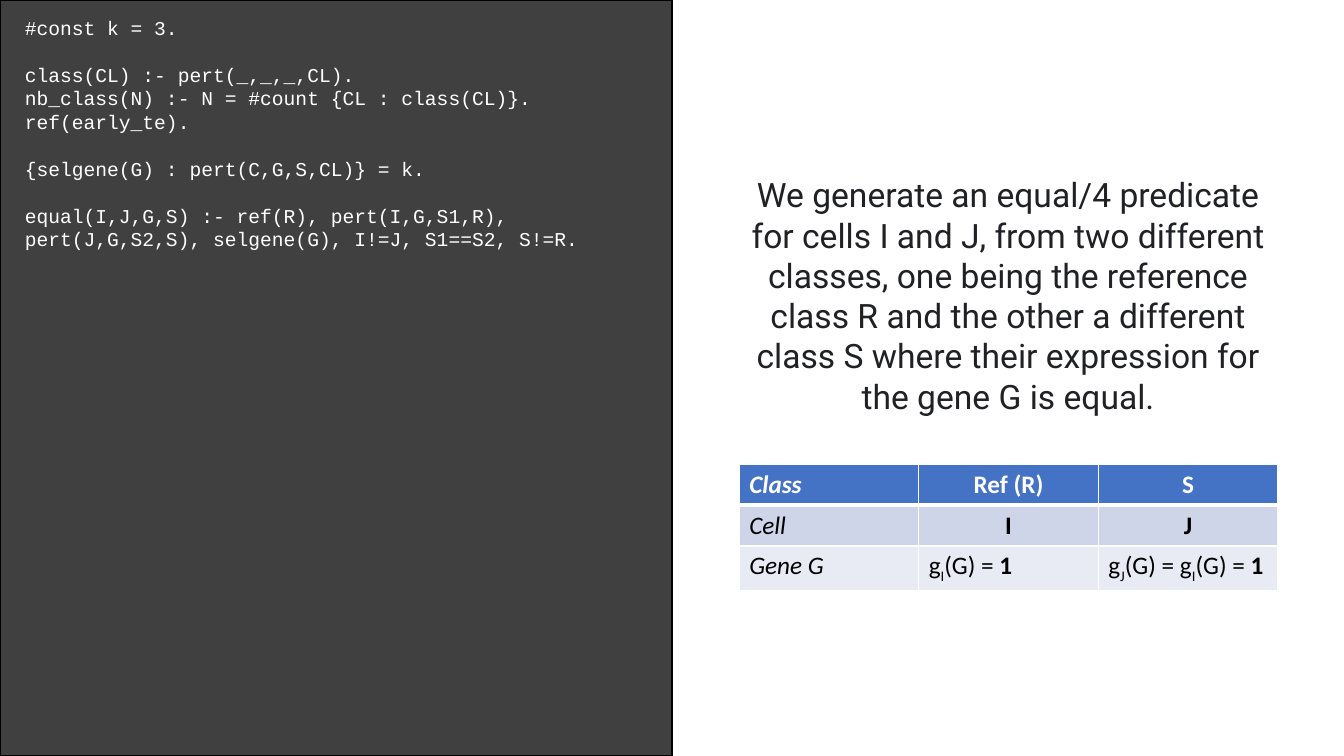
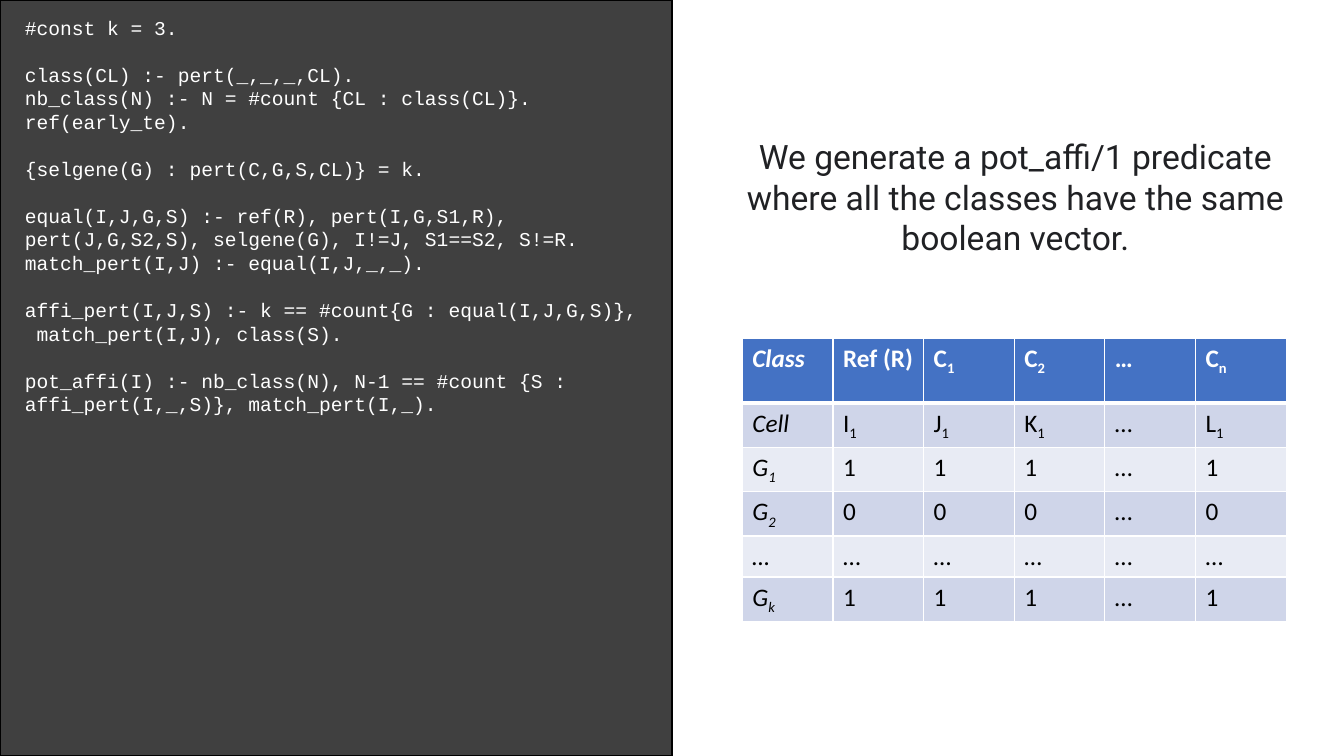
import pptx
import pptx.util
import pptx.dml.color
import pptx.enum.shapes
import pptx.enum.text
import pptx.oxml
import pptx.oxml.ns
from lxml import etree

PX = 9525
WIDE, HIGH = 1280, 720
HUES = {
    "panel": "404040", "edge": "000000", "code": "FFFFFF", "prose": "202124",
    "head": "4472C4", "odd": "CFD5E9", "even": "E8EBF4",
    "rule": "FFFFFF", "light": "FFFFFF", "dark": "000000",
}
ALIGN = pptx.enum.text.PP_ALIGN

BASE = [
    ["#const k = 3."],
    ["class(CL) :- pert(_,_,_,CL).",
     "nb_class(N) :- N = #count {CL : class(CL)}.",
     "ref(early_te)."],
    ["{selgene(G) : pert(C,G,S,CL)} = k."],
]
EQUAL = "equal(I,J,G,S) :- ref(R), pert(I,G,S1,R), pert(J,G,S2,S), selgene(G), I!=J, S1==S2, S!=R."
MATCH = "match_pert(I,J) :- equal(I,J,_,_)."
AFFI = "affi_pert(I,J,S) :- k == #count{G : equal(I,J,G,S)},\v match_pert(I,J), class(S)."
POT = "pot_affi(I) :- nb_class(N), N-1 == #count {S : affi_pert(I,_,S)}, match_pert(I,_)."


def hue(name):
    return pptx.dml.color.RGBColor.from_string(HUES[name])


def place(shape, box):
    shape.left, shape.top, shape.width, shape.height = [PX * n for n in box]


def style(run, face, size, tint):
    run.font.name = face
    run.font.size = pptx.util.Pt(size)
    run.font.color.rgb = hue(tint)


def frame(shape, box):
    place(shape, box)
    text = shape.text_frame
    text.word_wrap = True
    text.auto_size = pptx.enum.text.MSO_AUTO_SIZE.NONE
    text.vertical_anchor = pptx.enum.text.MSO_ANCHOR.TOP
    return text


def add_code(slide, box, blocks):
    left, top, wide, high = box
    panel = slide.shapes.add_shape(
        pptx.enum.shapes.MSO_SHAPE.RECTANGLE, *[PX * n for n in box])
    panel.shadow.inherit = False
    panel.fill.solid()
    panel.fill.fore_color.rgb = hue("panel")
    panel.line.color.rgb = hue("edge")
    panel.line.width = pptx.util.Pt(1)
    panel.element.getparent().insert(2, panel.element)

    text = frame(slide.placeholders[1], (left + 14, top + 10, wide - 27, high - 20))
    text.text = "\n".join(line for block in blocks for line in block)
    starts = [i == 0 and block is not blocks[0]
              for block in blocks for i in range(len(block))]
    step = pptx.util.Pt(16.8)
    for para, gap in zip(text.paragraphs, starts):
        props = para._p.get_or_add_pPr()
        props.set("marL", "0")
        props.set("indent", "0")
        etree.SubElement(props, pptx.oxml.ns.qn("a:buNone"))
        para.line_spacing = step
        para.space_before = step if gap else 0
        for run in para.runs:
            style(run, "Courier New", 14, "code")


def add_prose(slide, box, words):
    text = frame(slide.shapes.title, box)
    text.text = words
    para = text.paragraphs[0]
    para.alignment = ALIGN.CENTER
    para.line_spacing = pptx.util.Pt(28.8)
    style(para.runs[0], "Roboto", 24, "prose")


def add_rules(cell, row):
    props = cell._tc.get_or_add_tcPr()
    thick = {(0, "B"), (1, "T")}
    for side in "LRTB":
        size = 3 if (row, side) in thick else 0.96
        props.append(pptx.oxml.parse_xml(
            f'<a:ln{side} {pptx.oxml.ns.nsdecls("a")} w="{pptx.util.Pt(size)}">'
            f'<a:solidFill><a:srgbClr val="{HUES["rule"]}"/></a:solidFill></a:ln{side}>'))


def split(mark):
    parts = [["", ""]]
    chars = iter(mark)
    for char in chars:
        if char in "_*":
            parts += [[char, next(chars)], ["", ""]]
        else:
            parts[-1][1] += char
    return [part for part in parts if part[1]]


def fill_cell(cell, mark, row, col):
    add_rules(cell, row)
    cell.fill.solid()
    cell.fill.fore_color.rgb = hue("head" if row == 0 else "odd" if row % 2 else "even")
    para = cell.text_frame.paragraphs[0]
    for kind, words in split(mark):
        run = para.add_run()
        run.text = words
        style(run, "Calibri", 18, "dark" if row else "light")
        run.font.bold = row == 0 or kind == "*"
        run.font.italic = col == 0
        if kind == "_":
            run.font._element.set("baseline", "-25000")


def add_grid(slide, spot, wide, highs, rows, mid=0):
    left, top = spot
    cols = len(rows[0])
    grid = slide.shapes.add_table(
        len(rows), cols, PX * left, PX * top, PX * wide, PX * sum(highs)).table
    for col in grid.columns:
        col.width = PX * wide // cols
    for r, (high, marks) in enumerate(zip(highs, rows)):
        grid.rows[r].height = PX * high
        for c, mark in enumerate(marks):
            cell = grid.cell(r, c)
            fill_cell(cell, mark, r, c)
            if r < mid and c:
                cell.text_frame.paragraphs[0].alignment = ALIGN.CENTER


def add_page(deck, blocks, box, words, *grid):
    slide = deck.slides.add_slide(deck.slide_layouts[1])
    add_code(slide, (0, 0, WIDE // 2, HIGH), blocks)
    add_prose(slide, box, words)
    add_grid(slide, *grid)


def main():
    deck = pptx.Presentation()
    deck.slide_width, deck.slide_height = PX * WIDE, PX * HIGH
    add_page(
        deck, BASE + [[EQUAL]], (694, 161, 532, 240),
        "We generate an equal/4 predicate for cells I and J, from two different "
        "classes, one being the reference class R and the other a different class S "
        "where their expression for the gene G is equal.",
        (704, 442), 513, [39, 39, 42],
        [["Class", "Ref (R)", "S"],
         ["Cell", "*I", "*J"],
         ["Gene G", "g_I(G) = *1", "g_J(G) = g_I(G) = *1"]], 2)
    add_page(
        deck, BASE + [[EQUAL, MATCH], [AFFI], [POT]], (701, 125, 532, 125),
        "We generate a pot_affi/1 predicate where all the classes have the same "
        "boolean vector.",
        (707, 322), 518, [62, 42, 42, 42, 39, 42],
        [["Class", "Ref (R)", "C_1", "C_2", "…", "C_n"],
         ["Cell", "I_1", "J_1", "K_1", "…", "L_1"],
         ["G_1", "1", "1", "1", "…", "1"],
         ["G_2", "0", "0", "0", "…", "0"],
         ["…"] * 6,
         ["G_k", "1", "1", "1", "…", "1"]])
    deck.save("out.pptx")


if __name__ == "__main__":
    main()
